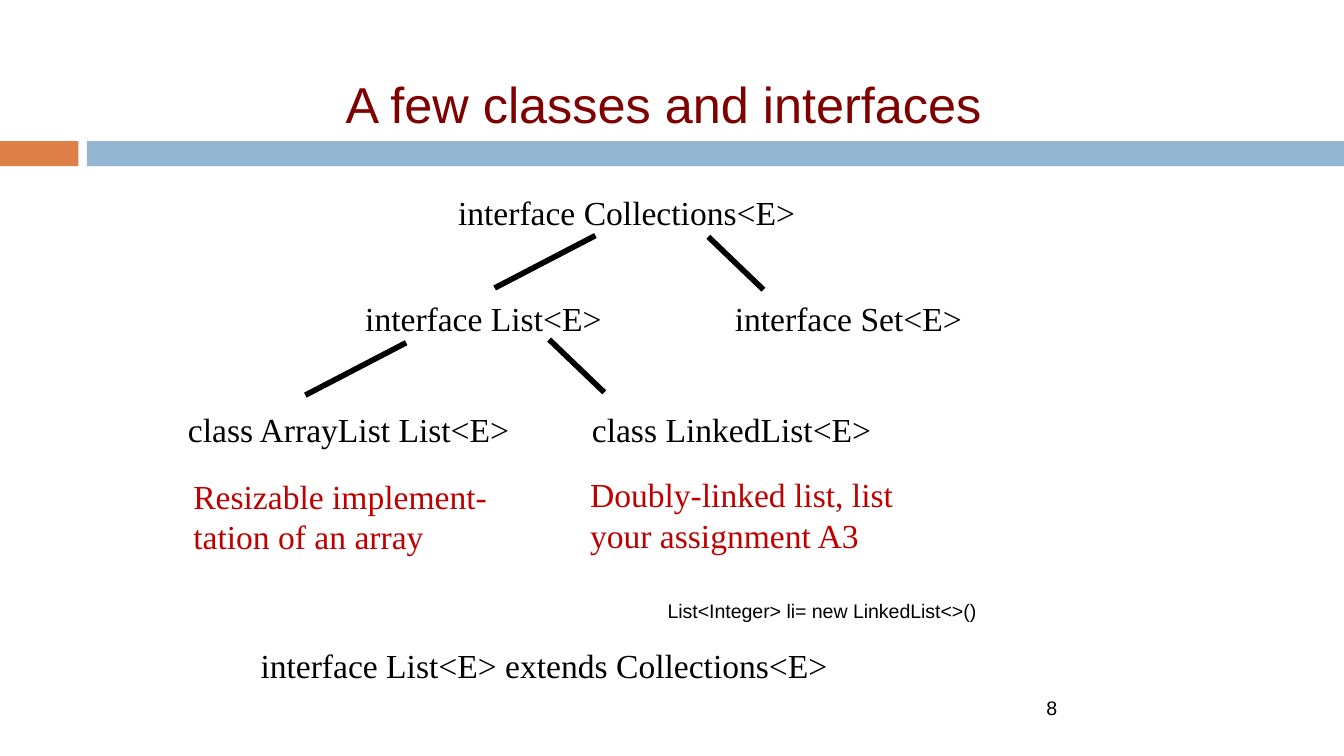
from lxml import etree
from pptx import Presentation
from pptx.dml.color import RGBColor
from pptx.enum import shapes, text
from pptx.oxml import ns
from pptx.util import Pt

SANS, SERIF = "Arial", "Times New Roman"
BLACK, MAROON, RED = "000000", "800000", "C00000"
ORANGE, BLUE = "DD8047", "94B6D2"


def color(value):
    return RGBColor.from_string(value)


class Deck:
    """Holds the text style and the current slide; lengths are in points."""

    font, size, ink = SERIF, 18, BLACK

    def __init__(self, width, height):
        self.prs = Presentation()
        self.prs.slide_width, self.prs.slide_height = Pt(width), Pt(height)
        self.s = self.prs.slides.add_slide(self.prs.slide_layouts[6])

    def bar(self, x, y, w, h, fill):
        sp = self.s.shapes.add_shape(
            shapes.MSO_SHAPE.RECTANGLE, Pt(x), Pt(y), Pt(w), Pt(h))
        sp.shadow.inherit = False
        sp.fill.solid()
        sp.fill.fore_color.rgb = color(fill)
        sp.line.fill.background()

    def label(self, words, x, y, w, h=29, font=None, size=None, ink=None, wrap=True):
        sp = self.s.shapes.add_textbox(Pt(x), Pt(y), Pt(w), Pt(h))
        tf = sp.text_frame
        tf.word_wrap = wrap
        p = tf.paragraphs[0]
        p.text = words
        p.font.name = font or self.font
        p.font.size = Pt(size or self.size)
        p.font.color.rgb = color(ink or self.ink)
        return tf

    def title(self, words, x, y, w, h):
        tf = self.label(words, x, y, w, h, SANS, 27, MAROON)
        tf.vertical_anchor = text.MSO_ANCHOR.BOTTOM
        tf.margin_left = tf.margin_right = Pt(5)
        tf.margin_top = tf.margin_bottom = Pt(5)
        tf.paragraphs[0].alignment = text.PP_ALIGN.CENTER

    def branch(self, x1, y1, x2, y2):
        """Draw a thick line from a parent type to a subtype."""
        line = self.s.shapes.add_connector(
            shapes.MSO_CONNECTOR.STRAIGHT, Pt(x1), Pt(y1), Pt(x2), Pt(y2))
        line.line.width = Pt(3)
        line.line.color.rgb = color(self.ink)
        etree.SubElement(line._element.spPr, ns.qn("a:effectLst"))


def main():
    deck = Deck(720, 405)
    deck.bar(0, 75.6, 42, 13.5, ORANGE)
    deck.bar(46.6, 75.6, 673.4, 13.5, BLUE)
    deck.title("A few classes and interfaces", 112.5, 22.5, 486, 54)

    types = [
        ("interface Collections<E>", 238.3, 99.4, 215),
        ("interface List<E>", 188.6, 155.9, 153.4),
        ("interface Set<E>", 386.6, 155.9, 153.4),
        ("class ArrayList List<E>", 93.6, 215.5, 194.4),
        ("class LinkedList<E>", 310, 215.5, 171.4),
    ]
    for words, x, y, w in types:
        deck.label(words, x, y, w)

    left, right = (-54, 28.1), (29.5, 28.3)
    branches = [
        (319, 126.2, left),
        (379.5, 126.9, right),
        (217.6, 183.6, left),
        (294.2, 181.9, right),
    ]
    for x, y, (dx, dy) in branches:
        deck.branch(x, y, x + dx, y + dy)

    deck.label("Resizable implement-tation of an array", 96.5, 251.5, 178, 51, ink=RED)
    deck.label("Doubly-linked list, list your assignment A3", 309, 250.5, 178, 51, ink=RED)
    deck.label("List<Integer> li= new LinkedList<>()", 350.6, 317.5, 183, 20,
               SANS, 10.5, wrap=False)
    deck.label("interface List<E> extends Collections<E>", 132.5, 342, 322, wrap=False)
    deck.label("8", 553.5, 369.4, 26.6, 20, SANS, 10.5, wrap=False)

    deck.prs.save("out.pptx")


if __name__ == "__main__":
    main()
